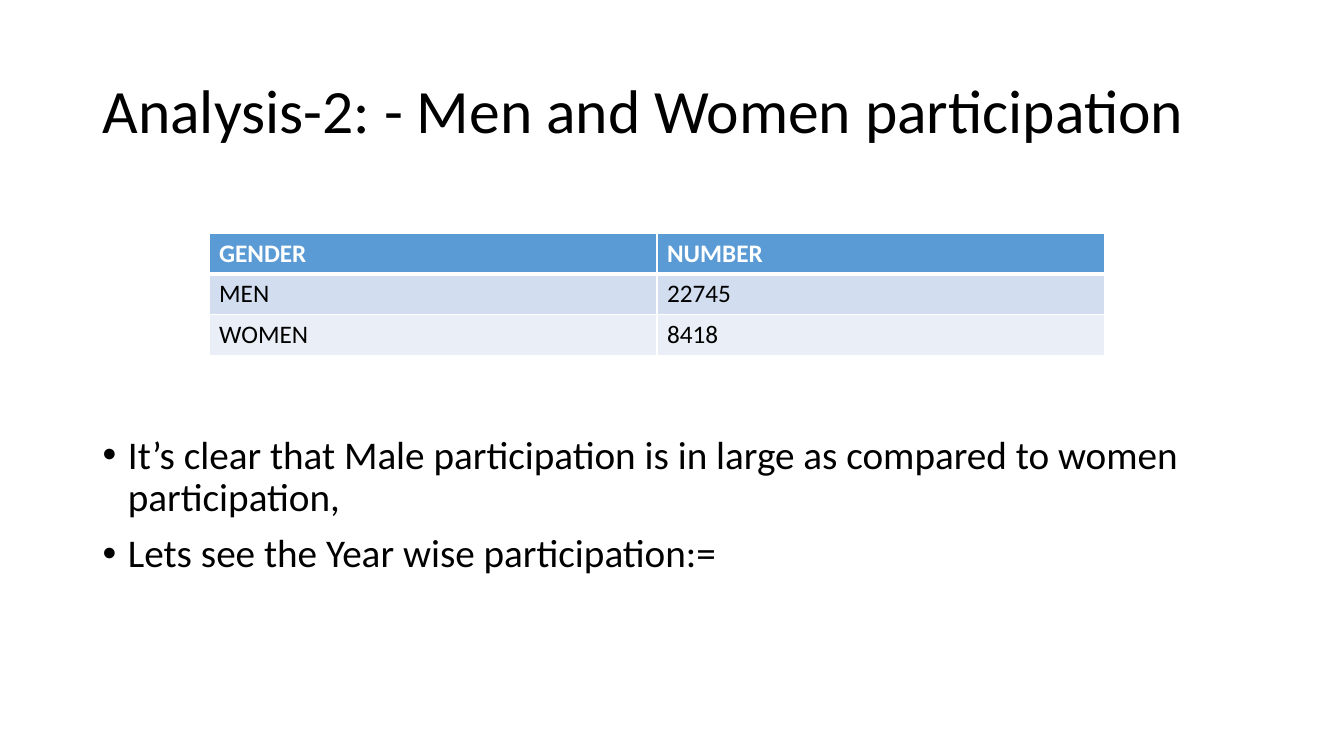
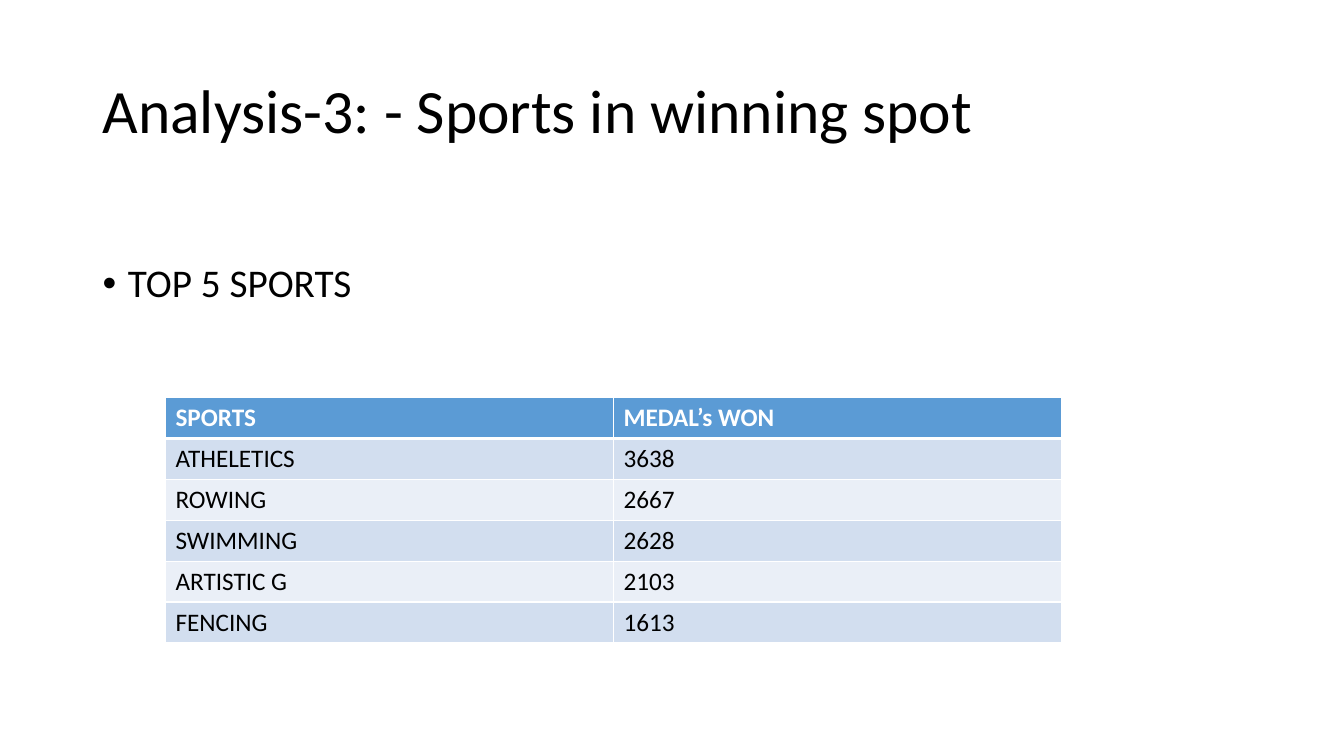
import pptx
import pptx.dml.color
import pptx.enum.text
import pptx.oxml
import pptx.oxml.ns
import pptx.util
from pptx.util import Cm

RGBColor = pptx.dml.color.RGBColor
BLACK = RGBColor(0x00, 0x00, 0x00)
WHITE = RGBColor(0xFF, 0xFF, 0xFF)
HEADER_BLUE = RGBColor(0x5B, 0x9B, 0xD5)
BAND_DARK = RGBColor(0xD2, 0xDE, 0xEF)
BAND_LIGHT = RGBColor(0xEA, 0xEF, 0xF7)


class DeckBuilder:
    font = "Calibri"
    margin = Cm(2.33)
    content_width = Cm(29.21)
    body_top = Cm(5.08)
    body_bottom = Cm(17.16)
    line_pitch = Cm(1.44)
    column_width = Cm(11.29)
    row_height = Cm(1.03)

    def __init__(self):
        self.deck = pptx.Presentation()
        self.deck.slide_width = Cm(33.87)
        self.deck.slide_height = Cm(19.05)
        self.page = None

    def add_page(self, title):
        self.page = self.deck.slides.add_slide(self.deck.slide_layouts[1])
        box = self.page.shapes.title
        self.place(box, Cm(1.01), Cm(3.68))
        box.text_frame.vertical_anchor = pptx.enum.text.MSO_ANCHOR.MIDDLE
        para = box.text_frame.paragraphs[0]
        para.alignment = pptx.enum.text.PP_ALIGN.LEFT
        para.line_spacing = 0.9
        self.add_span(para, title, 44, BLACK)

    def place(self, box, top, height):
        box.left, box.top = self.margin, top
        box.width, box.height = self.content_width, height
        box.text_frame.word_wrap = True
        box.text_frame.auto_size = pptx.enum.text.MSO_AUTO_SIZE.NONE

    def add_span(self, para, text, size, color, bold=False):
        span = para.add_run()
        span.text = text
        span.font.name = self.font
        span.font.size = pptx.util.Pt(size)
        span.font.bold = bold
        span.font.color.rgb = color

    def add_bullets(self, lines_down, items):
        box = self.page.placeholders[1]
        top = self.body_top + lines_down * self.line_pitch
        self.place(box, top, self.body_bottom - top)
        frame = box.text_frame
        for index, item in enumerate(items):
            para = frame.add_paragraph() if index else frame.paragraphs[0]
            para.line_spacing = 0.9
            para.space_before = pptx.util.Pt(10 if index else 0)
            properties = para._p.get_or_add_pPr()
            properties.set("marL", str(Cm(0.64)))
            properties.set("indent", str(-Cm(0.64)))
            self.add_span(para, item, 28, BLACK)

    def add_table(self, left, top, rows):
        columns = len(rows[0])
        table = self.page.shapes.add_table(
            len(rows), columns, left, top,
            columns * self.column_width, len(rows) * self.row_height).table
        for column in table.columns:
            column.width = self.column_width
        for row_index, row in enumerate(rows):
            table.rows[row_index].height = self.row_height
            for column_index, text in enumerate(row):
                self.fill_cell(table.cell(row_index, column_index), row_index, text)

    def fill_cell(self, cell, row_index, text):
        is_header = row_index == 0
        band = BAND_DARK if row_index % 2 else BAND_LIGHT
        cell.fill.solid()
        cell.fill.fore_color.rgb = HEADER_BLUE if is_header else band
        self.add_span(cell.text_frame.paragraphs[0], text, 18,
                      WHITE if is_header else BLACK, is_header)
        self.add_borders(cell, top=3 if row_index == 1 else 1,
                         bottom=3 if is_header else 1)

    def add_borders(self, cell, top, bottom):
        properties = cell._tc.get_or_add_tcPr()
        edges = (("lnL", 1), ("lnR", 1), ("lnT", top), ("lnB", bottom))
        for position, (edge, points) in enumerate(edges):
            line = pptx.oxml.parse_xml(
                f'<a:{edge} {pptx.oxml.ns.nsdecls("a")} w="{pptx.util.Pt(points)}">'
                f'<a:solidFill><a:srgbClr val="{WHITE}"/></a:solidFill></a:{edge}>')
            properties.insert(position, line)


def main():
    builder = DeckBuilder()

    builder.add_page("Analysis-2: - Men and Women participation")
    builder.add_bullets(4, [
        "It’s clear that Male participation is in large as compared to women participation,",
        "Lets see the Year wise participation:=",
    ])
    builder.add_table(Cm(5.27), Cm(5.87), [
        ("GENDER", "NUMBER"),
        ("MEN", "22745"),
        ("WOMEN", "8418"),
    ])

    builder.add_page("Analysis-3: - Sports in winning spot")
    builder.add_bullets(1, ["TOP 5 SPORTS"])
    builder.add_table(Cm(4.17), Cm(10.02), [
        ("SPORTS", "MEDAL’s WON"),
        ("ATHELETICS", "3638"),
        ("ROWING", "2667"),
        ("SWIMMING", "2628"),
        ("ARTISTIC G", "2103"),
        ("FENCING", "1613"),
    ])

    builder.deck.save("out.pptx")


if __name__ == "__main__":
    main()
